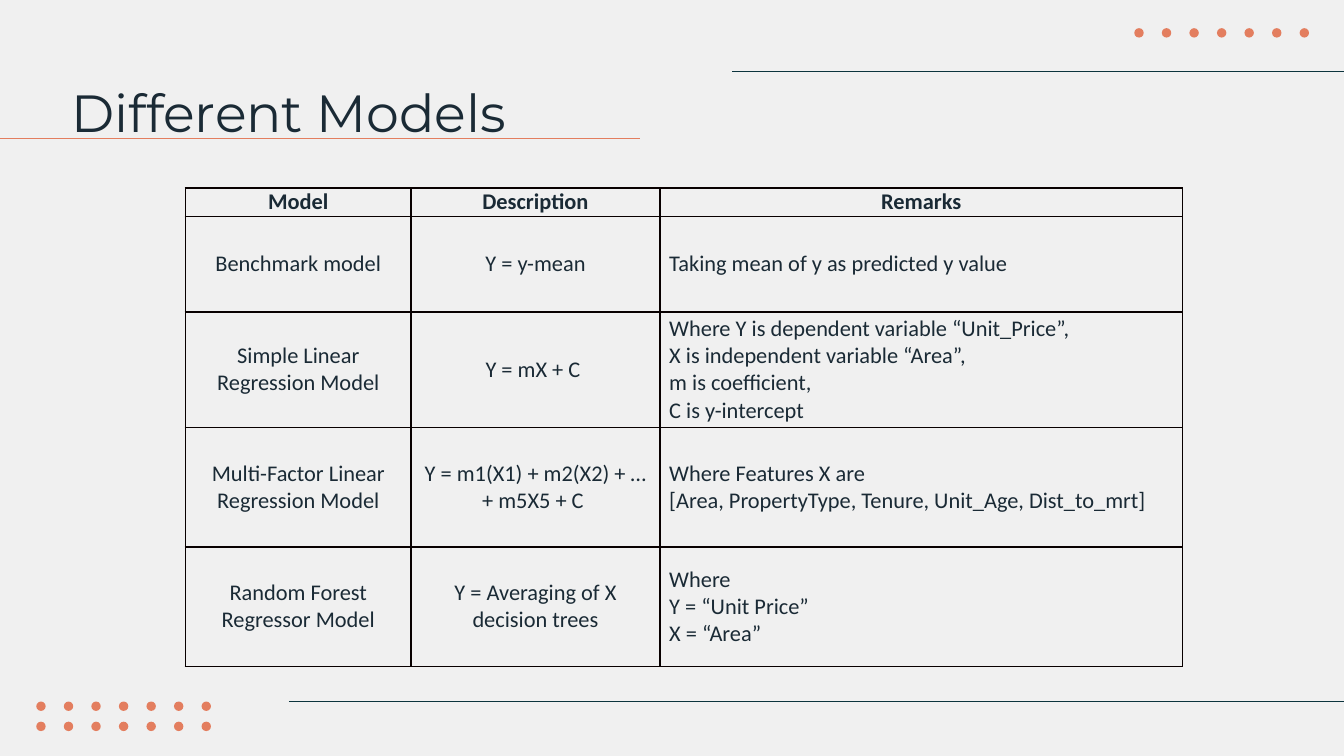
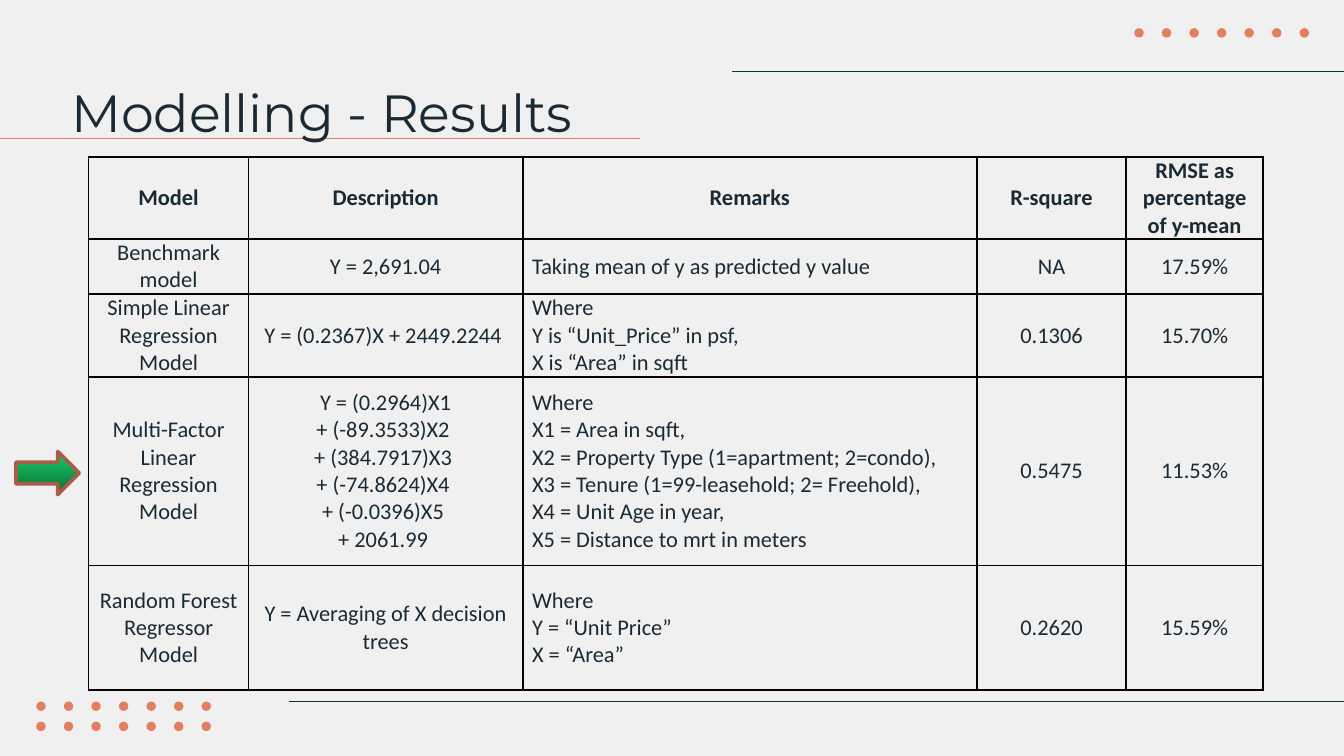
from dataclasses import dataclass

from lxml import etree
from pptx import Presentation
from pptx.dml.color import RGBColor
from pptx.enum.shapes import MSO_CONNECTOR, MSO_SHAPE
from pptx.enum.text import MSO_ANCHOR, MSO_AUTO_SIZE, PP_ALIGN
from pptx.oxml.ns import qn
from pptx.util import Inches, Pt

STRAIGHT = MSO_CONNECTOR.STRAIGHT
OVAL = MSO_SHAPE.OVAL
RIGHT_ARROW = MSO_SHAPE.RIGHT_ARROW
TOP = MSO_ANCHOR.TOP
MIDDLE = MSO_ANCHOR.MIDDLE
LEFT = PP_ALIGN.LEFT
CENTER = PP_ALIGN.CENTER
NO_AUTO_SIZE = MSO_AUTO_SIZE.NONE

BACKGROUND = "F0F0F0"
INK = "1A2A35"
NAVY = "0C343D"
ORANGE = "E37E5F"
BORDER = "080000"
ARROW_TOP = "14CD68"
ARROW_BOTTOM = "0B6E38"
ARROW_LINE = "A85D46"

SLIDE_WIDTH = Inches(10)
SLIDE_HEIGHT = SLIDE_WIDTH * 9 // 16
TITLE_FONT = "Montserrat"
TABLE_FONT = "Calibri"
TITLE_ONLY_LAYOUT = 5
REMARKS_COLUMN = 2
DOT_SIZE = 0.07
DOT_COLUMNS = 7
DOT_COLUMN_STEP = 0.205
DOT_ROW_STEP = 0.15


@dataclass(frozen=True)
class Rule:
    left: float
    right: float
    top: float
    color: str


@dataclass(frozen=True)
class DotGrid:
    left: float
    top: float
    rows: int


@dataclass(frozen=True)
class ModelTable:
    left: float
    top: float
    column_widths: tuple[float, ...]
    row_heights: tuple[float, ...]
    rows: tuple[tuple[str, ...], ...]


RULES = (
    Rule(5.45, 10.1, 0.53, NAVY),
    Rule(2.15, 10.1, 5.22, NAVY),
    Rule(-0.16, 4.76, 1.03, ORANGE),
)
DOT_GRIDS = (DotGrid(8.44, 0.21, 1), DotGrid(0.27, 5.22, 2))

BENCHMARK = "Benchmark model"
SIMPLE = "Simple Linear Regression Model"
MULTI_FACTOR = "Multi-Factor Linear Regression Model"
HEADINGS = ("Model", "Description", "Remarks")
MEAN_REMARK = "Taking mean of y as predicted y value"
RANDOM_FOREST_CELLS = (
    "Random Forest Regressor Model",
    "Y = Averaging of X decision trees",
    "Where\nY = “Unit Price”\nX = “Area”",
)

MODELS = ModelTable(
    1.38, 1.4,
    (1.68, 1.85, 3.89),
    (0.21, 0.71, 0.86, 0.89, 0.89),
    (
        HEADINGS,
        (BENCHMARK, "Y = y-mean", MEAN_REMARK),
        (
            SIMPLE,
            "Y = mX + C ",
            "Where Y is dependent variable “Unit_Price”,\n"
            "X is independent variable “Area”,\n"
            "m is coefficient,\n"
            "C is y-intercept",
        ),
        (
            MULTI_FACTOR,
            "Y = m1(X1) + m2(X2) + … + m5X5 + C ",
            "Where Features X are\n"
            "[Area, PropertyType, Tenure, Unit_Age, Dist_to_mrt]",
        ),
        RANDOM_FOREST_CELLS,
    ),
)

RESULTS = ModelTable(
    0.66, 1.17,
    (1.19, 2.04, 3.38, 1.11, 1.02),
    (0.6, 0.4, 0.62, 1.4, 0.93),
    (
        (*HEADINGS, "R-square", "RMSE as percentage of y-mean"),
        (BENCHMARK, "Y = 2,691.04", MEAN_REMARK, "NA", "17.59%"),
        (
            SIMPLE,
            "Y = (0.2367)X + 2449.2244 ",
            "Where\nY is “Unit_Price” in psf,\nX is “Area” in sqft",
            "0.1306",
            "15.70%",
        ),
        (
            MULTI_FACTOR,
            "Y = (0.2964)X1\n+ (-89.3533)X2 \n+ (384.7917)X3 \n"
            "+ (-74.8624)X4 \n+ (-0.0396)X5 \n+ 2061.99 ",
            "Where\n"
            "X1 = Area in sqft,\n"
            "X2 = Property Type (1=apartment; 2=condo),\n"
            "X3 = Tenure (1=99-leasehold; 2= Freehold),\n"
            "X4 = Unit Age in year,\n"
            "X5 = Distance to mrt in meters",
            "0.5475",
            "11.53%",
        ),
        (*RANDOM_FOREST_CELLS, "0.2620", "15.59%"),
    ),
)


def rgb(color: str) -> RGBColor:
    return RGBColor.from_string(color)


def draw_rule(slide, rule: Rule) -> None:
    top = Inches(rule.top)
    connector = slide.shapes.add_connector(
        STRAIGHT, Inches(rule.left), top, Inches(rule.right), top
    )
    connector.line.color.rgb = rgb(rule.color)
    connector.line.width = Pt(0.75)
    etree.SubElement(connector.element.spPr, qn("a:effectLst"))


def draw_dots(slide, grid: DotGrid) -> None:
    group = slide.shapes.add_group_shape()
    for row in range(grid.rows):
        for column in range(DOT_COLUMNS):
            dot = group.shapes.add_shape(
                OVAL,
                Inches(grid.left + column * DOT_COLUMN_STEP),
                Inches(grid.top + row * DOT_ROW_STEP),
                Inches(DOT_SIZE),
                Inches(DOT_SIZE),
            )
            dot.shadow.inherit = False
            dot.fill.solid()
            dot.fill.fore_color.rgb = rgb(ORANGE)
            dot.line.fill.background()


def write_title(slide, text: str) -> None:
    title = slide.shapes.title
    slide.shapes.element.append(title.element)
    title.left, title.top = Inches(0.43), Inches(0.5)
    title.width, title.height = Inches(7.02), Inches(0.54)
    frame = title.text_frame
    frame.text = text
    frame.word_wrap = True
    frame.auto_size = NO_AUTO_SIZE
    frame.vertical_anchor = TOP
    frame.margin_left = frame.margin_right = Inches(0.1)
    frame.margin_top = frame.margin_bottom = Inches(0.1)
    paragraph = frame.paragraphs[0]
    paragraph.alignment = LEFT
    paragraph.line_spacing = 1.0
    paragraph.space_before = Pt(0)
    paragraph.font.name = TITLE_FONT
    paragraph.font.size = Pt(28)
    paragraph.font.color.rgb = rgb(INK)


def add_slide(presentation, title: str):
    slide = presentation.slides.add_slide(
        presentation.slide_layouts[TITLE_ONLY_LAYOUT]
    )
    for grid in DOT_GRIDS:
        draw_dots(slide, grid)
    for rule in RULES:
        draw_rule(slide, rule)
    write_title(slide, title)
    return slide


def set_borders(cell) -> None:
    properties = cell._tc.get_or_add_tcPr()
    for position, side in enumerate(("a:lnL", "a:lnR", "a:lnT", "a:lnB")):
        border = etree.Element(qn(side), w=str(Pt(1)))
        fill = etree.SubElement(border, qn("a:solidFill"))
        etree.SubElement(fill, qn("a:srgbClr"), val=BORDER)
        properties.insert(position, border)


def write_cell(cell, text: str, is_heading: bool, alignment: PP_ALIGN) -> None:
    cell.text = text
    cell.fill.background()
    cell.vertical_anchor = MIDDLE
    cell.margin_left = cell.margin_right = Inches(0.07)
    cell.margin_top = cell.margin_bottom = 0
    for paragraph in cell.text_frame.paragraphs:
        paragraph.alignment = alignment
        paragraph.font.name = TABLE_FONT
        paragraph.font.size = Pt(12)
        paragraph.font.bold = is_heading
        paragraph.font.color.rgb = rgb(INK)
    set_borders(cell)


def draw_table(slide, model_table: ModelTable) -> None:
    table = slide.shapes.add_table(
        len(model_table.rows),
        len(model_table.column_widths),
        Inches(model_table.left),
        Inches(model_table.top),
        Inches(sum(model_table.column_widths)),
        Inches(sum(model_table.row_heights)),
    ).table
    table.first_row = False
    table.horz_banding = False
    for column, width in zip(table.columns, model_table.column_widths):
        column.width = Inches(width)
    for row, height in zip(table.rows, model_table.row_heights):
        row.height = Inches(height)
    for row_index, texts in enumerate(model_table.rows):
        is_heading = row_index == 0
        for column_index, text in enumerate(texts):
            is_remark = column_index == REMARKS_COLUMN and not is_heading
            write_cell(
                table.cell(row_index, column_index),
                text,
                is_heading,
                LEFT if is_remark else CENTER,
            )


def draw_best_model_arrow(slide) -> None:
    arrow = slide.shapes.add_shape(
        RIGHT_ARROW, Inches(0.12), Inches(3.36), Inches(0.47), Inches(0.32)
    )
    arrow.shadow.inherit = False
    arrow.fill.gradient()
    arrow.fill.gradient_angle = 270
    for stop, color in zip(arrow.fill.gradient_stops, (ARROW_TOP, ARROW_BOTTOM)):
        stop.color.rgb = rgb(color)
    arrow.line.color.rgb = rgb(ARROW_LINE)
    arrow.line.width = Pt(2)


def main() -> None:
    presentation = Presentation()
    presentation.slide_width = SLIDE_WIDTH
    presentation.slide_height = SLIDE_HEIGHT
    background = presentation.slide_master.background.fill
    background.solid()
    background.fore_color.rgb = rgb(BACKGROUND)

    draw_table(add_slide(presentation, "Different Models"), MODELS)

    results_slide = add_slide(presentation, "Modelling - Results")
    draw_table(results_slide, RESULTS)
    draw_best_model_arrow(results_slide)

    presentation.save("out.pptx")


if __name__ == "__main__":
    main()
